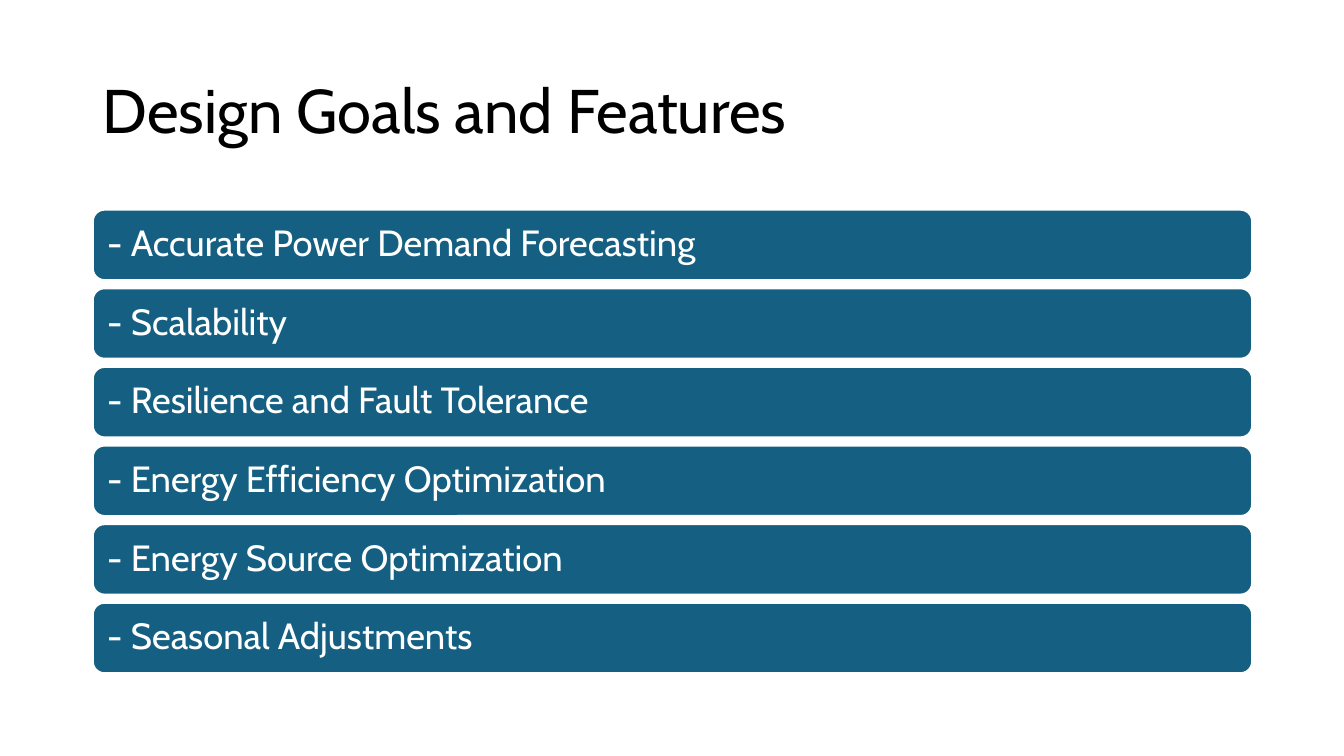
from pptx import Presentation
from pptx.dml.color import RGBColor
from pptx.enum.shapes import MSO_SHAPE
from pptx.enum.text import MSO_ANCHOR, PP_ALIGN
from pptx.util import Inches, Pt

COLORS = {"title": "000000", "bar": "156082", "bar_text": "FFFFFF", "bar_line": "FFFFFF"}
TITLE_BOX = (0.92, 0.4, 11.5, 1.45)
GOALS_BOX = (0.92, 2.08, 11.5, 4.6)
BAR_HEIGHT = 0.7
GOALS = [
    "- Accurate Power Demand Forecasting",
    "- Scalability",
    "- Resilience and Fault Tolerance",
    "- Energy Efficiency Optimization",
    "- Energy Source Optimization",
    "- Seasonal Adjustments",
]
TITLE_FONT = {"name": "Cabin", "size": Pt(44), "bold": False}
GOAL_FONT = {"name": "Cabin", "size": Pt(26), "bold": False}
PARAGRAPH_FORMAT = {"alignment": PP_ALIGN.LEFT, "line_spacing": 0.9}
FRAME_FORMAT = {"word_wrap": True, "vertical_anchor": MSO_ANCHOR.MIDDLE}
BAR_MARGINS = {f"margin_{side}": Inches(0.11) for side in ("left", "top", "right", "bottom")}


def color(name):
    return RGBColor.from_string(COLORS[name])


def apply_format(target, values):
    for name, value in values.items():
        setattr(target, name, value)


def write_text(shape, text, font, color_name):
    frame = shape.text_frame
    frame.text = text
    apply_format(frame, FRAME_FORMAT)
    paragraph = frame.paragraphs[0]
    apply_format(paragraph, PARAGRAPH_FORMAT)
    run = paragraph.runs[0]
    apply_format(run.font, font)
    run.font.color.rgb = color(color_name)


def add_title(slide, box, text):
    title = slide.shapes.title
    title.left, title.top, title.width, title.height = map(Inches, box)
    write_text(title, text, TITLE_FONT, "title")


def add_goal_bars(slide, box, goals):
    left, top, width, height = box
    step = (height - BAR_HEIGHT) / (len(goals) - 1)
    for row, goal in enumerate(goals):
        bar = slide.shapes.add_shape(
            MSO_SHAPE.ROUNDED_RECTANGLE,
            *map(Inches, (left, top + row * step, width, BAR_HEIGHT)),
        )
        bar.shadow.inherit = False
        bar.fill.solid()
        bar.fill.fore_color.rgb = color("bar")
        bar.line.color.rgb = color("bar_line")
        bar.line.width = Pt(1.5)
        apply_format(bar.text_frame, BAR_MARGINS)
        write_text(bar, goal, GOAL_FONT, "bar_text")


def main():
    presentation = Presentation()
    presentation.slide_width = Inches(13.33)
    presentation.slide_height = Inches(7.5)
    slide = presentation.slides.add_slide(presentation.slide_layouts[5])
    add_title(slide, TITLE_BOX, "Design Goals and Features")
    add_goal_bars(slide, GOALS_BOX, GOALS)
    presentation.save("out.pptx")


if __name__ == "__main__":
    main()
